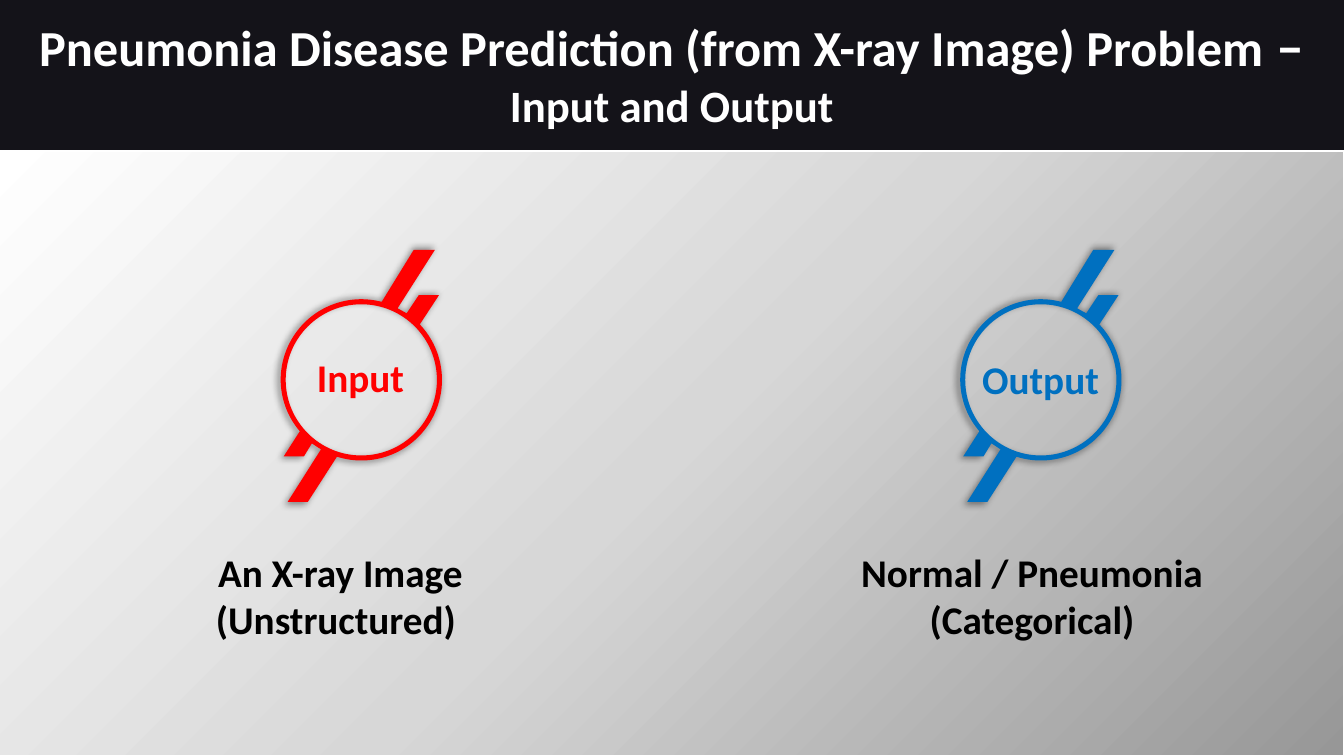
"""Build a slide showing the input and output of the pneumonia prediction problem."""
import dataclasses
import itertools
import math

import lxml.etree
import pptx
import pptx.dml.color
import pptx.enum.shapes
import pptx.enum.text
import pptx.oxml
import pptx.oxml.ns
import pptx.util

PX = 9144
COLOURS = {
    "backdrop": "524E67", "black": "000000", "white": "FFFFFF",
    "red": "FF0000", "blue": "0070C0",
    "dark grey": "979797", "light grey": "D7D7D7",
}
FONT = "Calibri"
TILT = 32.3
CENTRE_Y = 378
OUTER_RADIUS, INNER_RADIUS = 80, 75
UPPER_BOLTS = [(20, -77), (52, -129), (73, -129), (36, -71),
               (45, -66), (57, -84), (77, -84), (58, -55)]
LOWER_BOLTS = [(-24, 76), (-53, 121), (-73, 121), (-40, 69),
               (-49, 63), (-57, 76), (-77, 76), (-61, 51)]
Point = tuple[float, float]


@dataclasses.dataclass(frozen=True)
class Label:
    text: str
    left: int
    top: int
    width: int
    height: int
    colour: str
    margins: tuple[int, int] = (7, 3)
    wrap: bool = True


@dataclasses.dataclass(frozen=True)
class Emblem:
    centre_x: int
    colour: str
    name: Label
    caption: Label


EMBLEMS = [
    Emblem(358, "red",
           Label("Input", 183, 348, 349, 54, "red"),
           Label("An X-ray Image (Unstructured) ", 163, 541, 349, 101, "black")),
    Emblem(1032, "blue",
           Label("Output", 962, 348, 140, 57, "blue", (10, 5), False),
           Label("Normal / Pneumonia (Categorical)", 844, 541, 359, 101, "black")),
]
TITLE_SPANS = [
    ("Pneumonia Disease Prediction (from X-ray Image) Problem", 36),
    (" – ", 40),
    ("Input and Output", 32),
]


def rgb(name: str) -> pptx.dml.color.RGBColor:
    return pptx.dml.color.RGBColor.from_string(COLOURS[name])


def arc(radius: int, start: float, end: float, pieces: int) -> list[Point]:
    step = math.radians(end - start) / pieces
    pull = 4 / 3 * math.tan(step / 4)
    points = []
    for piece in range(pieces):
        first = math.radians(start) + piece * step
        for angle, lean in [(first, pull), (first + step, -pull), (first + step, 0)]:
            points.append((radius * (math.cos(angle) - lean * math.sin(angle)),
                           radius * (math.sin(angle) + lean * math.cos(angle))))
    return points


def bearing(point: Point) -> float:
    return math.degrees(math.atan2(point[1], point[0]))


def add_rectangle(page, left: int, top: int, width: int, height: int):
    box = page.shapes.add_shape(
        pptx.enum.shapes.MSO_SHAPE.RECTANGLE, left * PX, top * PX, width * PX, height * PX)
    box.shadow.inherit = False
    box.fill.solid()
    return box


def add_backdrop(page) -> None:
    page.background.fill.solid()
    page.background.fill.fore_color.rgb = rgb("backdrop")
    shade = add_rectangle(page, 0, 0, 1333, 750)
    shade.fill.fore_color.rgb = rgb("black")
    shade.line.fill.background()
    colour = shade.element.spPr.find(".//" + pptx.oxml.ns.qn("a:srgbClr"))
    lxml.etree.SubElement(colour, pptx.oxml.ns.qn("a:alpha"), val="75000")
    page.slide_layout.slide_master.shapes.element.insert(2, shade.element)

    panel = add_rectangle(page, -2, 150, 1335, 600)
    panel.line.color.rgb = rgb("white")
    panel.line.width = pptx.util.Pt(1)
    stops = "".join(
        f'<a:gs pos="{position}"><a:srgbClr val="{COLOURS[name]}"/></a:gs>'
        for position, name in [(0, "dark grey"), (50000, "light grey"), (100000, "white")])
    gradient = pptx.oxml.parse_xml(
        f'<a:gradFill {pptx.oxml.ns.nsdecls("a")} rotWithShape="1"><a:gsLst>{stops}</a:gsLst>'
        '<a:path path="circle"><a:fillToRect l="100000" t="100000"/></a:path>'
        '<a:tileRect r="-100000" b="-100000"/></a:gradFill>')
    solid = panel.element.spPr.find(pptx.oxml.ns.qn("a:solidFill"))
    panel.element.spPr.replace(solid, gradient)


def add_title(page) -> None:
    title = page.shapes.title
    title.element.getparent().append(title.element)
    title.left, title.top, title.width, title.height = 0, 5 * PX, 1333 * PX, 131 * PX
    frame = title.text_frame
    frame.auto_size = pptx.enum.text.MSO_AUTO_SIZE.SHAPE_TO_FIT_TEXT
    frame.vertical_anchor = pptx.enum.text.MSO_ANCHOR.TOP
    frame.word_wrap = True
    para = frame.paragraphs[0]
    para.alignment = pptx.enum.text.PP_ALIGN.CENTER
    para.font.name = FONT
    para.font.bold = True
    para.font.color.rgb = rgb("white")
    for text, size in TITLE_SPANS:
        span = para.add_run()
        span.text = text
        span.font.size = pptx.util.Pt(size)


def add_label(page, label: Label) -> None:
    box = page.shapes.add_textbox(
        label.left * PX, label.top * PX, label.width * PX, label.height * PX)
    frame = box.text_frame
    frame.word_wrap = label.wrap
    frame.auto_size = pptx.enum.text.MSO_AUTO_SIZE.SHAPE_TO_FIT_TEXT
    frame.margin_left = frame.margin_right = label.margins[0] * PX
    frame.margin_top = frame.margin_bottom = label.margins[1] * PX
    para = frame.paragraphs[0]
    para.text = label.text
    para.alignment = pptx.enum.text.PP_ALIGN.CENTER
    para.font.name = FONT
    para.font.size = pptx.util.Pt(28)
    para.font.bold = True
    para.font.color.rgb = rgb(label.colour)


def bend(ring, curved: list[bool]) -> None:
    lines = list(ring.element.iter(pptx.oxml.ns.qn("a:lnTo")))
    controls = list(itertools.compress(lines, curved))
    for start in range(0, len(controls), 3):
        curve = lxml.etree.Element(pptx.oxml.ns.qn("a:cubicBezTo"))
        controls[start].addprevious(curve)
        for control in controls[start:start + 3]:
            curve.append(control[0])
            control.getparent().remove(control)


def add_ring(page, emblem: Emblem) -> None:
    right_arc = arc(OUTER_RADIUS, bearing(UPPER_BOLTS[-1]), bearing(LOWER_BOLTS[0]), 2)
    left_arc = arc(OUTER_RADIUS, bearing(LOWER_BOLTS[-1]), bearing(UPPER_BOLTS[0]) + 360, 2)
    outline = UPPER_BOLTS + right_arc + LOWER_BOLTS + left_arc
    hole = [(INNER_RADIUS, 0)] + arc(INNER_RADIUS, 360, 0, 4)
    cosine, sine = math.cos(math.radians(TILT)), math.sin(math.radians(TILT))

    def upright(point: Point) -> Point:
        across, down = point[0], point[1] + 4
        return ((emblem.centre_x + across * cosine + down * sine) * PX,
                (CENTRE_Y - 4 - across * sine + down * cosine) * PX)

    outer, inner = [[upright(point) for point in contour] for contour in (outline, hole)]
    builder = page.shapes.build_freeform(*outer[0])
    builder.add_line_segments(outer[1:])
    builder.move_to(*inner[0])
    builder.add_line_segments(inner[1:])
    ring = builder.convert_to_shape()
    bend(ring, [point in right_arc + left_arc + hole for point in outline[1:] + hole[1:]])
    ring.rotation = TILT
    ring.fill.solid()
    ring.fill.fore_color.rgb = rgb(emblem.colour)
    ring.line.fill.background()
    ring.element.spPr.append(pptx.oxml.parse_xml(
        f'<a:effectLst {pptx.oxml.ns.nsdecls("a")}>'
        '<a:outerShdw blurRad="63500" sx="102000" sy="102000" algn="ctr" rotWithShape="0">'
        f'<a:srgbClr val="{COLOURS["black"]}"><a:alpha val="40000"/></a:srgbClr>'
        '</a:outerShdw></a:effectLst>'))


def main() -> None:
    deck = pptx.Presentation()
    deck.slide_width, deck.slide_height = 1333 * PX, 750 * PX
    page = deck.slides.add_slide(deck.slide_layouts[5])
    add_backdrop(page)
    add_title(page)
    for emblem in EMBLEMS:
        add_ring(page, emblem)
        add_label(page, emblem.caption)
        add_label(page, emblem.name)
    deck.save("out.pptx")


if __name__ == "__main__":
    main()
